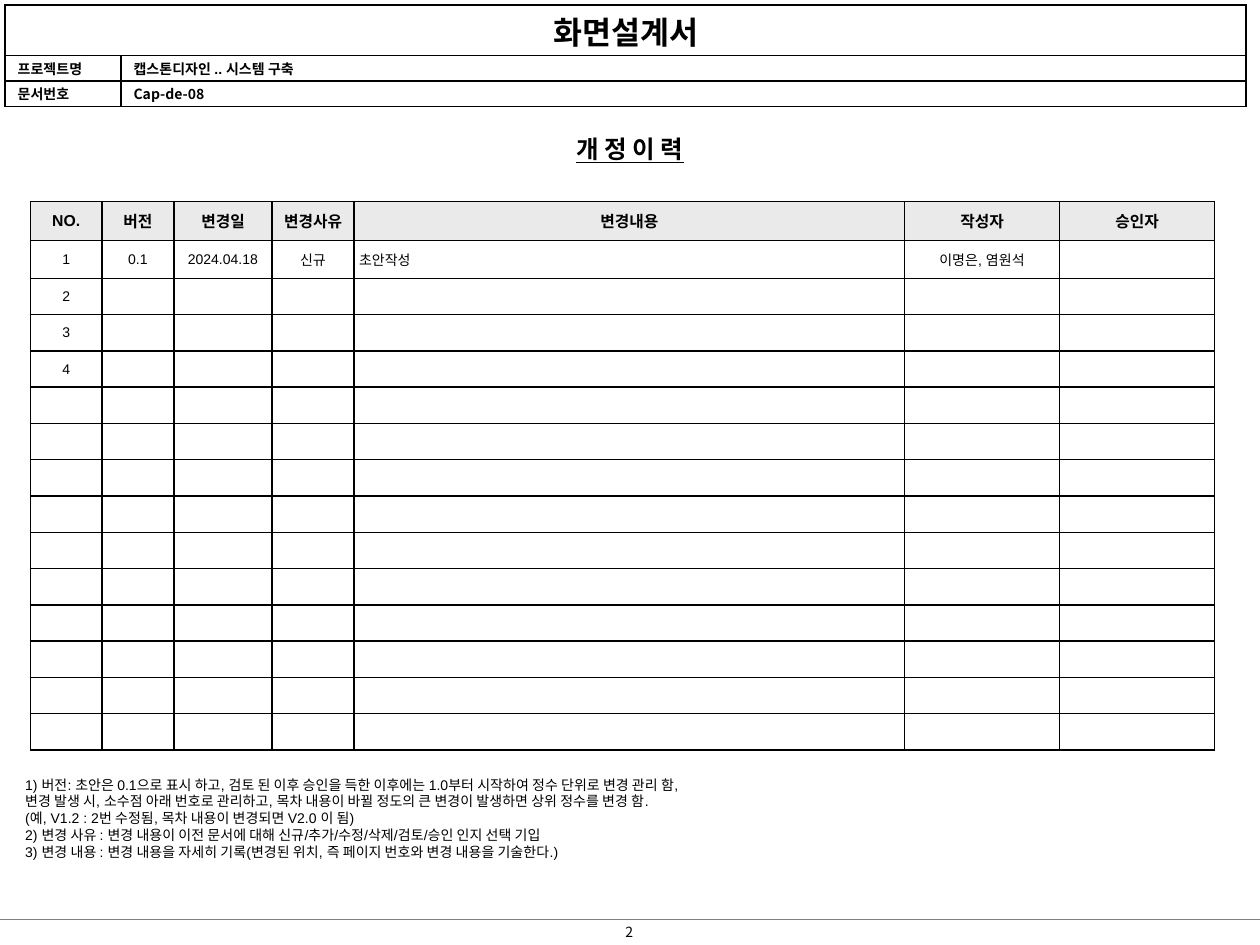
from dataclasses import dataclass

from lxml import etree
from pptx import Presentation
from pptx import util as u
from pptx.dml.color import RGBColor
from pptx.enum import shapes, text
from pptx.oxml import ns

LEFT, CENTER = text.PP_ALIGN.LEFT, text.PP_ALIGN.CENTER
TOP, MIDDLE = text.MSO_ANCHOR.TOP, text.MSO_ANCHOR.MIDDLE


@dataclass(frozen=True)
class Theme:
    ink: str = "000000"
    paper: str = "FFFFFF"
    head: str = "EAEAEA"
    rule: str = "808080"
    latin: str = "Arial"
    korean: str = "Noto Sans CJK KR"
    banner: int = 18
    title: int = 14
    label: int = 9
    body: int = 8
    border: int = 1


class Sheet:
    UNIT = 0.1

    def __init__(self, prs, theme):
        self.theme = theme
        self.s = prs.slides.add_slide(prs.slide_layouts[1])

    def size(self, n):
        return u.Inches(n * self.UNIT)

    def box(self, *at):
        return [self.size(n) for n in at]

    def style(self, p, size, bold=False, font=None, align=LEFT, underline=False):
        p.alignment = align
        p.font.size = u.Pt(size)
        p.font.bold = bold
        p.font.underline = underline
        p.font.name = font or self.theme.latin
        p.font.color.rgb = RGBColor.from_string(self.theme.ink)

    def fill_text(self, sp, lines, anchor=TOP, **look):
        tf = sp.text_frame
        tf.word_wrap = True
        tf.auto_size = text.MSO_AUTO_SIZE.NONE
        tf.vertical_anchor = anchor
        tf.text = "\n".join(lines)
        for p in tf.paragraphs:
            self.style(p, **look)
            p.space_before = u.Pt(0)
        return tf

    def place(self, index, at, lines, **look):
        sp = self.s.placeholders[index]
        sp.left, sp.top, sp.width, sp.height = self.box(*at)
        return self.fill_text(sp, lines, **look)

    def title(self, at, line):
        self.place(0, at, [line], anchor=MIDDLE, size=self.theme.title,
                   bold=True, align=CENTER, underline=True)

    def notes(self, at, lines):
        tf = self.place(1, at, lines, size=self.theme.body)
        for p in tf.paragraphs:
            pPr = p._p.get_or_add_pPr()
            pPr.set("marL", "0")
            pPr.set("indent", "0")
            bullet = etree.Element(ns.qn("a:buNone"))
            pPr.find(ns.qn("a:defRPr")).addprevious(bullet)

    def label(self, at, line, **look):
        self.fill_text(self.s.shapes.add_textbox(*self.box(*at)), [line], **look)

    def rule(self, x1, y1, x2, y2):
        line = self.s.shapes.add_connector(
            shapes.MSO_CONNECTOR.STRAIGHT, *self.box(x1, y1, x2, y2))
        line.line.color.rgb = RGBColor.from_string(self.theme.rule)
        line.line.width = u.Pt(0.75)
        etree.SubElement(line._element.spPr, ns.qn("a:effectLst"))

    def table(self, left, top, cols, rows):
        frame = self.s.shapes.add_table(
            len(rows), len(cols), *self.box(left, top, sum(cols), sum(rows)))
        table = frame.table
        table.first_row = table.horz_banding = False
        for col, width in zip(table.columns, cols):
            col.width = self.size(width)
        for row, height in zip(table.rows, rows):
            row.height = self.size(height)
        for cell in table.iter_cells():
            self.cell(cell)
        return table

    def cell(self, cell):
        tcPr = cell._tc.get_or_add_tcPr()
        for side in ("lnL", "lnR", "lnT", "lnB"):
            ln = etree.SubElement(tcPr, ns.qn(f"a:{side}"), w=str(u.Pt(self.theme.border)))
            fill = etree.SubElement(ln, ns.qn("a:solidFill"))
            etree.SubElement(fill, ns.qn("a:srgbClr"), val=self.theme.ink)
        end = cell.text_frame.paragraphs[0]._p.get_or_add_endParaRPr()
        end.set("sz", str(self.theme.body * 100))
        self.paint(cell, self.theme.paper, (0.4, 0), MIDDLE)

    def paint(self, cell, color, inset, anchor):
        cell.fill.solid()
        cell.fill.fore_color.rgb = RGBColor.from_string(color)
        cell.margin_left = cell.margin_right = self.size(inset[0])
        cell.margin_top = cell.margin_bottom = self.size(inset[1])
        cell.vertical_anchor = anchor

    def entry(self, cell, line, **look):
        p = cell.text_frame.paragraphs[0]
        p.add_run().text = line
        self.style(p, **look)
        return p

    def header(self, left, top, cols, rows, heading, fields):
        t = self.theme
        table = self.table(left, top, cols, rows)
        table.cell(0, 0).merge(table.cell(0, 1))
        for cell in table.iter_cells():
            self.paint(cell, t.paper, (1, 0.2), TOP)
        self.entry(table.cell(0, 0), heading, size=t.banner, bold=True,
                   font=t.korean, align=CENTER)
        for i, (name, value, font) in enumerate(fields, 1):
            for j, (line, face) in enumerate([(name, t.latin), (value, font)]):
                p = self.entry(table.cell(i, j), line, size=t.body, bold=True, font=face)
                p.space_before = u.Pt(0.4 * t.body)

    def history(self, left, top, cols, rows, heads, records):
        t = self.theme
        table = self.table(left, top, cols, rows)
        for j, line in enumerate(heads):
            self.paint(table.cell(0, j), t.head, (0.4, 0), MIDDLE)
            self.entry(table.cell(0, j), line, size=t.label, bold=True, align=CENTER)
        for i, record in enumerate(records, 1):
            for j, line in enumerate(record):
                align = LEFT if heads[j] == "변경내용" else CENTER
                self.entry(table.cell(i, j), line, size=t.body, align=align)


def main():
    theme = Theme()
    prs = Presentation()
    prs.slide_width, prs.slide_height = u.Inches(10), u.Inches(7.5)
    sheet = Sheet(prs, theme)
    sheet.rule(0, 73, 100, 73)
    sheet.label((47.2, 72.8, 5.5, 2.4), "2", size=theme.body,
                font=theme.korean, align=CENTER)
    sheet.header(0.4, 0.4, [9.2, 89.3], [3.9, 1.7, 1.7], "화면설계서", [
        ("프로젝트명", "캡스톤디자인 .. 시스템 구축", theme.latin),
        ("문서번호", "Cap-de-08", theme.korean),
    ])
    sheet.title((0, 10.1, 100, 3.4), "개 정 이 력")
    sheet.history(
        2.4, 16, [5.7, 5.7, 7.8, 6.5, 43.7, 12.3, 12.3], [3.1, 3] + [2.88] * 13,
        ["NO.", "버전", "변경일", "변경사유", "변경내용", "작성자", "승인자"],
        [["1", "0.1", "2024.04.18", "신규", "초안작성", "이명은, 염원석"],
         ["2"], ["3"], ["4"]])
    sheet.notes((1, 61.1, 90.1, 7.7), [
        "1) 버전: 초안은 0.1으로 표시 하고, 검토 된 이후 승인을 득한 이후에는 1.0부터 시작하여 정수 단위로 변경 관리 함,",
        "변경 발생 시, 소수점 아래 번호로 관리하고, 목차 내용이 바뀔 정도의 큰 변경이 발생하면 상위 정수를 변경 함.",
        "(예, V1.2 : 2번 수정됨, 목차 내용이 변경되면 V2.0 이 됨)",
        "2) 변경 사유 : 변경 내용이 이전 문서에 대해 신규/추가/수정/삭제/검토/승인 인지 선택 기입",
        "3) 변경 내용 : 변경 내용을 자세히 기록(변경된 위치, 즉 페이지 번호와 변경 내용을 기술한다.)",
    ])
    prs.save("out.pptx")


if __name__ == "__main__":
    main()
